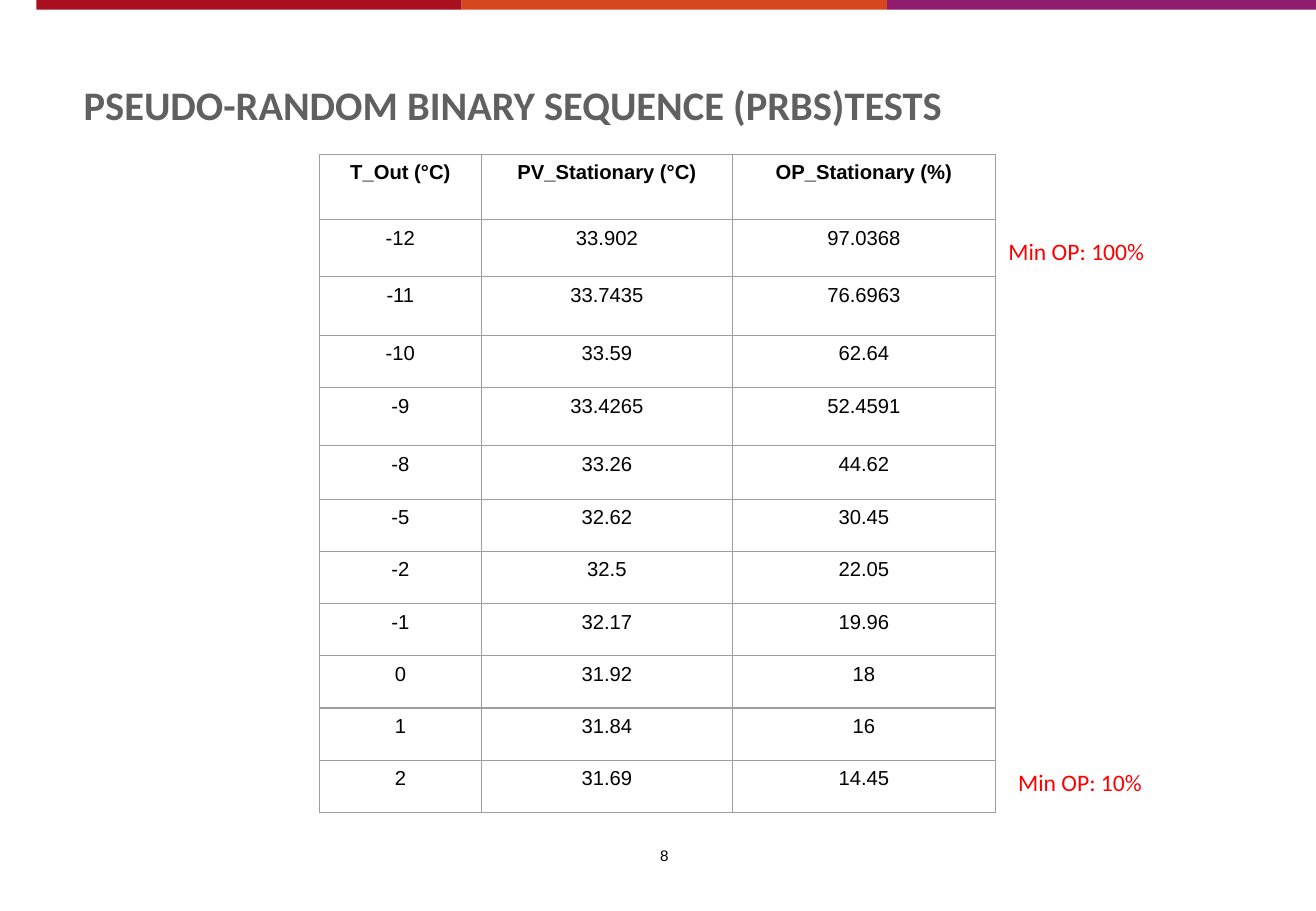
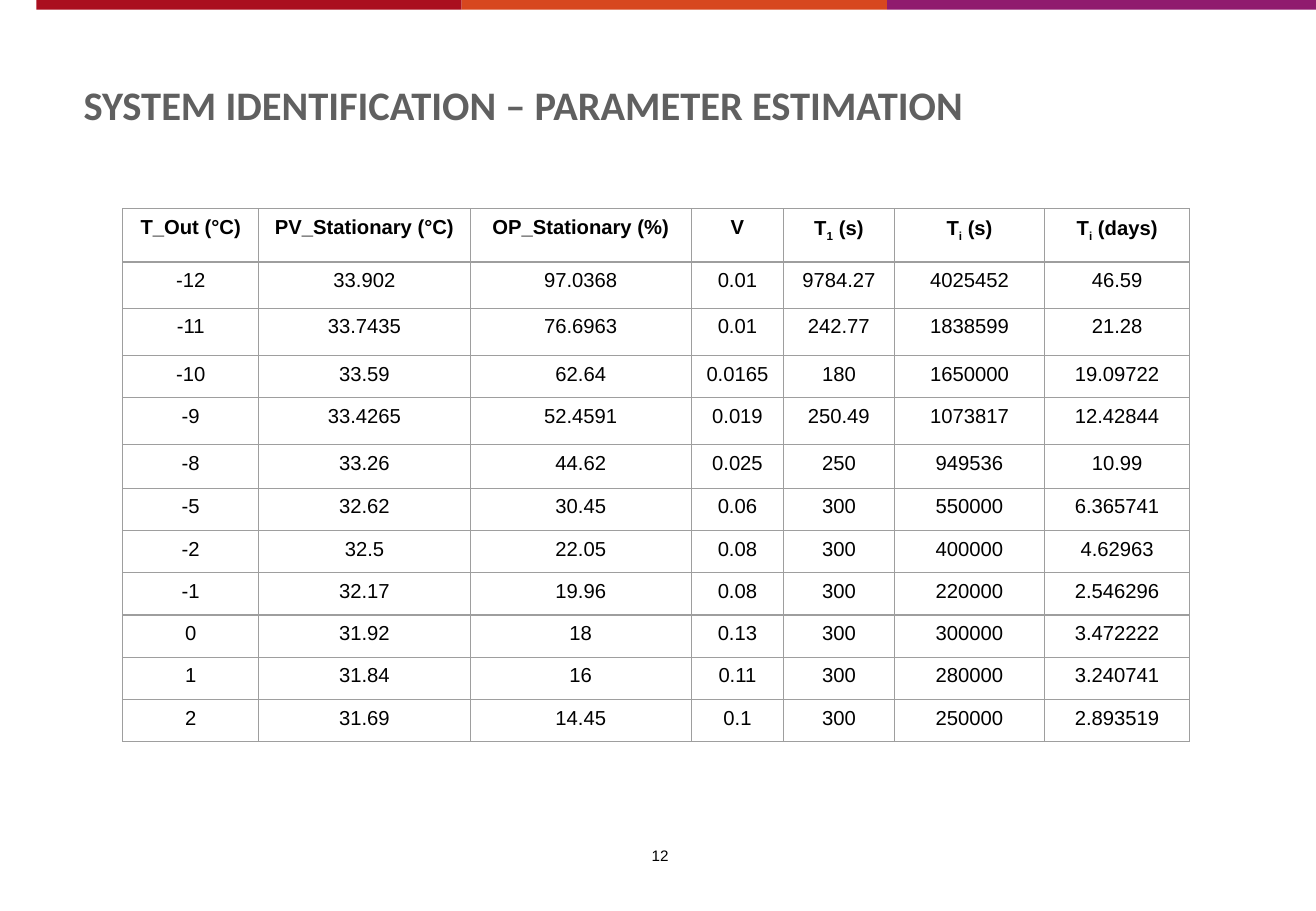
import dataclasses

import lxml.etree
import pptx
import pptx.dml.color
import pptx.enum.shapes
import pptx.enum.text
import pptx.oxml.ns
import pptx.util

Inches = pptx.util.Inches
Pt = pptx.util.Pt
ALIGN = pptx.enum.text.PP_ALIGN
ANCHOR = pptx.enum.text.MSO_ANCHOR
FIT = pptx.enum.text.MSO_AUTO_SIZE


@dataclasses.dataclass(frozen=True)
class Theme:
    bands: tuple = ("AA0F1F", "D7471F", "901B6E")
    grid: str = "9E9E9E"
    rule: float = 0.75
    head: tuple = ("Calibri", 24, "606060", True)
    note: tuple = ("Calibri", 14, "FF0000", False)
    page: tuple = ("Arial", 9, "000000", False)
    cell: tuple = ("Arial", 12, "000000", False)
    top: tuple = ("Arial", 12, "000000", True)


THEME = Theme()

HEADS = ["T_Out (°C)", "PV_Stationary (°C)", "OP_Stationary (%)"]
TESTS = [
    ["-12", "33.902", "97.0368"],
    ["-11", "33.7435", "76.6963"],
    ["-10", "33.59", "62.64"],
    ["-9", "33.4265", "52.4591"],
    ["-8", "33.26", "44.62"],
    ["-5", "32.62", "30.45"],
    ["-2", "32.5", "22.05"],
    ["-1", "32.17", "19.96"],
    ["0", "31.92", "18"],
    ["1", "31.84", "16"],
    ["2", "31.69", "14.45"],
]
# Text between two tildes is set as a subscript.
MODEL_HEADS = ["V", "T~1~ (s)", "T~i~ (s)", "T~i~ (days)"]
MODEL = [
    ["0.01", "9784.27", "4025452", "46.59"],
    ["0.01", "242.77", "1838599", "21.28"],
    ["0.0165", "180", "1650000", "19.09722"],
    ["0.019", "250.49", "1073817", "12.42844"],
    ["0.025", "250", "949536", "10.99"],
    ["0.06", "300", "550000", "6.365741"],
    ["0.08", "300", "400000", "4.62963"],
    ["0.08", "300", "220000", "2.546296"],
    ["0.13", "300", "300000", "3.472222"],
    ["0.11", "300", "280000", "3.240741"],
    ["0.1", "300", "250000", "2.893519"],
]
HEIGHTS = [0.54, 0.47, 0.48, 0.43, 0.48, 0.44] + [0.43] * 6


def put(item, **values):
    for name, value in values.items():
        setattr(item, name, value)


def paint(color, code):
    color.rgb = pptx.dml.color.RGBColor.from_string(code)


def write(par, text, style):
    """Fill a paragraph; parts between tildes become subscripts."""
    face, size, code, bold = style
    for index, part in enumerate(text.split("~")):
        run = par.add_run()
        run.text = part
        put(run.font, name=face, size=Pt(size), bold=bold)
        paint(run.font.color, code)
        if index % 2:
            run._r.get_or_add_rPr().set("baseline", "-25000")


def label(slide, box, text, style, align=ALIGN.LEFT, **frame):
    shape = slide.shapes.add_textbox(*map(Inches, box))
    put(shape.text_frame, **{"word_wrap": True, **frame})
    par = shape.text_frame.paragraphs[0]
    par.alignment = align
    write(par, text, style)


def band(slide, left, width, code):
    shape = slide.shapes.add_shape(
        pptx.enum.shapes.MSO_SHAPE.RECTANGLE,
        Inches(left), 0, Inches(width), Inches(0.08))
    shape.shadow.inherit = False
    shape.fill.solid()
    paint(shape.fill.fore_color, code)
    shape.line.fill.background()


def frame_cell(cell):
    """Draw the four cell borders, which must come before the fill."""
    props = cell._tc.get_or_add_tcPr()
    for index, side in enumerate(("lnL", "lnR", "lnT", "lnB")):
        line = lxml.etree.Element(pptx.oxml.ns.qn("a:" + side), w=str(Pt(THEME.rule)))
        fill = lxml.etree.SubElement(line, pptx.oxml.ns.qn("a:solidFill"))
        lxml.etree.SubElement(fill, pptx.oxml.ns.qn("a:srgbClr"), val=THEME.grid)
        props.insert(index, line)


def grid(slide, left, top, widths, heights, rows):
    table = slide.shapes.add_table(
        len(rows), len(widths), Inches(left), Inches(top),
        Inches(sum(widths)), Inches(sum(heights))).table
    put(table, first_row=False, horz_banding=False)
    for column, width in zip(table.columns, widths):
        column.width = Inches(width)
    for index, (row, height, texts) in enumerate(zip(table.rows, heights, rows)):
        row.height = Inches(height)
        for cell, text in zip(row.cells, texts):
            put(cell, margin_left=Inches(0.03), margin_right=Inches(0.03),
                margin_top=0, margin_bottom=0)
            cell.fill.background()
            frame_cell(cell)
            par = cell.text_frame.paragraphs[0]
            put(par, alignment=ALIGN.CENTER, line_spacing=1.32)
            write(par, text, THEME.cell if index else THEME.top)


def start(deck, title, page):
    """Add a slide with the bands, title and page number all slides share."""
    slide = deck.slides.add_slide(deck.slide_layouts[6])
    for index, code in enumerate(THEME.bands):
        last = index == len(THEME.bands) - 1
        band(slide, 0.3 + 3.5 * index, 3.53 if last else 3.5, code)
    label(slide, (0.59, 0.61, 9.66, 0.5), title, THEME.head,
          auto_size=FIT.SHAPE_TO_FIT_TEXT)
    label(slide, (5.23, 6.92, 0.37, 0.25), page, THEME.page, ALIGN.RIGHT,
          vertical_anchor=ANCHOR.MIDDLE, margin_top=Inches(0.1),
          margin_bottom=Inches(0.1))
    return slide


def note(slide, left, top, width, text):
    label(slide, (left, top, width, 0.34), text, THEME.note,
          word_wrap=False, auto_size=FIT.SHAPE_TO_FIT_TEXT)


def main():
    deck = pptx.Presentation()
    put(deck, slide_width=Inches(10.83), slide_height=Inches(7.5))

    slide = start(deck, "PSEUDO-RANDOM BINARY SEQUENCE (PRBS)TESTS", "8")
    grid(slide, 2.63, 1.27, [1.33, 2.07, 2.16], HEIGHTS, [HEADS] + TESTS)
    note(slide, 8.28, 6.27, 1.23, "Min OP: 10%")
    note(slide, 8.2, 1.9, 1.33, "Min OP: 100%")

    slide = start(deck, "SYSTEM IDENTIFICATION – PARAMETER ESTIMATION", "12")
    rows = [HEADS + MODEL_HEADS] + [test + fit for test, fit in zip(TESTS, MODEL)]
    grid(slide, 1.01, 1.72, [1.12, 1.74, 1.82, 0.76, 0.91, 1.24, 1.19],
         [0.81 * height for height in HEIGHTS], rows)

    deck.save("out.pptx")


if __name__ == "__main__":
    main()
